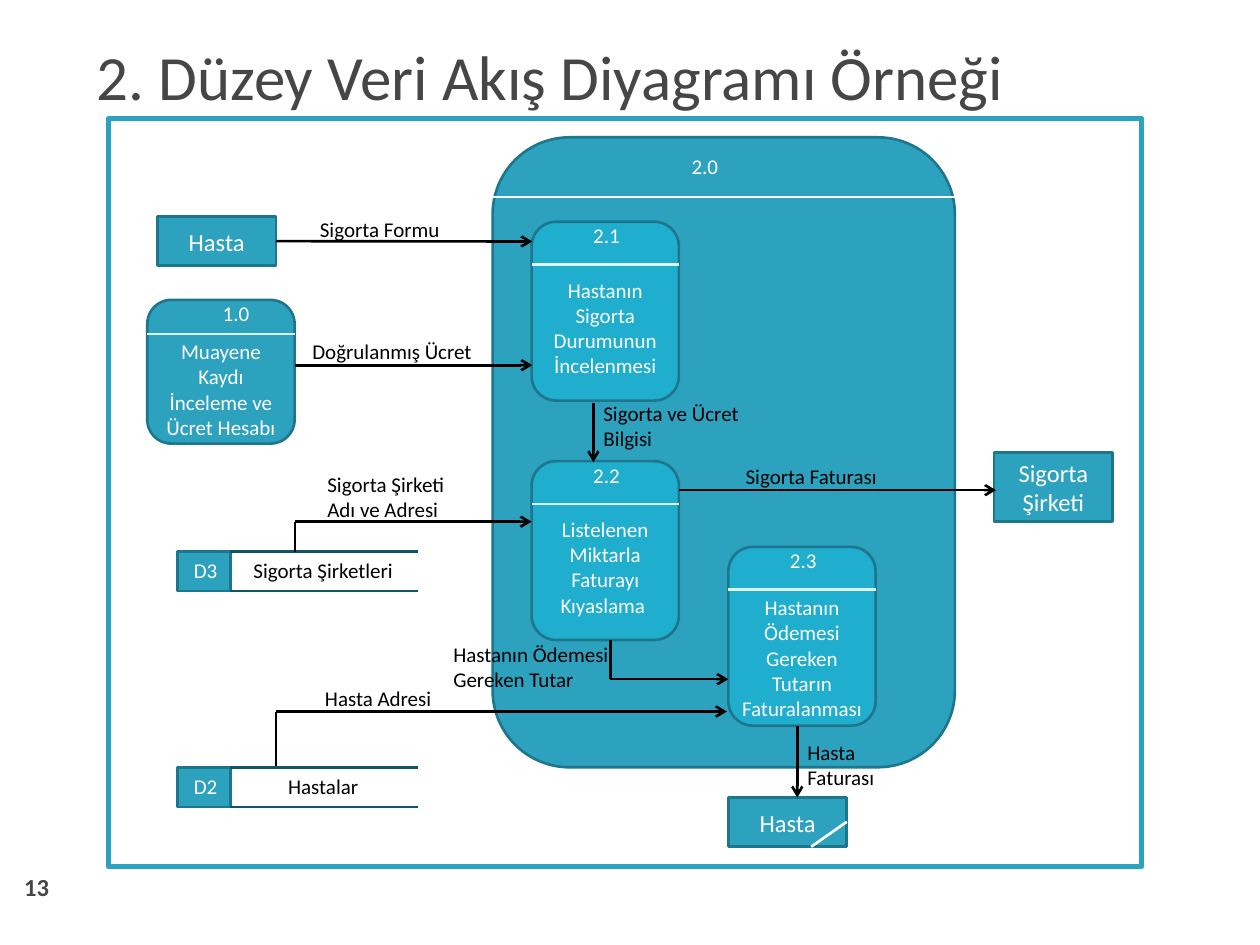
import pptx
import pptx.util
import pptx.dml.color
import pptx.enum.shapes
import pptx.enum.text
import pptx.oxml.ns
from lxml import etree

Pt = pptx.util.Pt
SHAPES = pptx.enum.shapes.MSO_SHAPE
ALIGN = pptx.enum.text.PP_ALIGN
ANCHOR = pptx.enum.text.MSO_ANCHOR

COLORS = {
    "teal": "2DA2BF",
    "bright": "1FAECD",
    "outline": "1E768C",
    "rail": "105766",
    "divider": "DEF5FA",
    "white": "FFFFFF",
    "black": "000000",
    "gray": "464646",
}
FONT = "Calibri"
BOX_WIDTH = 67.7
PROCESS_WIDTH = 84.2


def rgb(name):
    return pptx.dml.color.RGBColor.from_string(COLORS[name])


def write(frame, lines, size, color, align=ALIGN.LEFT, spacing=None, bold=False):
    for index, line in enumerate(lines):
        paragraph = frame.paragraphs[0] if index == 0 else frame.add_paragraph()
        paragraph.alignment = align
        if spacing:
            paragraph.line_spacing = spacing
        run = paragraph.add_run()
        run.text = line
        run.font.name = FONT
        run.font.size = Pt(size)
        run.font.bold = bold
        run.font.color.rgb = rgb(color)


def add_text(slide, left, top, width, height, lines, size=12, color="black",
             wrap=False, anchor=ANCHOR.TOP, **style):
    text_box = slide.shapes.add_textbox(Pt(left), Pt(top), Pt(width), Pt(height))
    frame = text_box.text_frame
    frame.word_wrap = wrap
    frame.vertical_anchor = anchor
    write(frame, lines, size, color, **style)


def add_block(slide, kind, left, top, width, height, fill="teal",
              line="outline", line_width=1.5):
    shape = slide.shapes.add_shape(kind, Pt(left), Pt(top), Pt(width), Pt(height))
    shape.shadow.inherit = False
    if fill:
        shape.fill.solid()
        shape.fill.fore_color.rgb = rgb(fill)
    else:
        shape.fill.background()
    shape.line.color.rgb = rgb(line)
    shape.line.width = Pt(line_width)
    return shape


def add_line(slide, x1, y1, x2, y2, color="black", arrow=False):
    connector = slide.shapes.add_connector(
        pptx.enum.shapes.MSO_CONNECTOR.STRAIGHT, Pt(x1), Pt(y1), Pt(x2), Pt(y2))
    connector.line.color.rgb = rgb(color)
    connector.line.width = Pt(1.5)
    if arrow:
        line = connector.line._get_or_add_ln()
        etree.SubElement(line, pptx.oxml.ns.qn("a:tailEnd"), type="arrow")
    etree.SubElement(connector._element.spPr, pptx.oxml.ns.qn("a:effectLst"))


def add_entity(slide, left, top, height, lines):
    shape = add_block(slide, SHAPES.RECTANGLE, left, top, BOX_WIDTH, height)
    shape.text_frame.word_wrap = True
    shape.text_frame.vertical_anchor = ANCHOR.MIDDLE
    write(shape.text_frame, lines, 14, "white", ALIGN.CENTER)


def add_process(slide, left, top, number, label, height=102.2, fill="bright",
                divider=24.5, number_left=28.1, label_top=28.1):
    add_block(slide, SHAPES.FLOWCHART_ALTERNATE_PROCESS, left, top,
              PROCESS_WIDTH, height, fill)
    add_line(slide, left, top + divider, left + PROCESS_WIDTH, top + divider, "divider")
    add_text(slide, left + number_left, top - 2.9, 29.5, 21.6, [number], color="white")
    add_text(slide, left, top + label_top, PROCESS_WIDTH, 64.8, [label],
             color="white", wrap=True, align=ALIGN.CENTER)


def add_data_store(slide, top, code, label):
    left, width, height = 101.5, 30.2, 22.6
    add_block(slide, SHAPES.FLOWCHART_PROCESS, left, top, width, height)
    for rail_top in (top, top + height):
        add_line(slide, left + width, rail_top, 239, rail_top, "rail")
    add_text(slide, 103.7, top, 28.1, 21.6, [code], color="white")
    add_text(slide, 125.3, top, 118.8, 21.6, [label], wrap=True, align=ALIGN.CENTER)


def add_flow(slide, *points):
    """Draw a route through the points, with an arrowhead at its end."""
    for index, (start, end) in enumerate(zip(points, points[1:])):
        add_line(slide, *start, *end, arrow=index == len(points) - 2)


def main():
    presentation = pptx.Presentation()
    presentation.slide_width = Pt(720)
    presentation.slide_height = Pt(540)
    slide = presentation.slides.add_slide(presentation.slide_layouts[6])

    # System boundary, frame and headings
    add_block(slide, SHAPES.ROUNDED_RECTANGLE, 281.5, 78.5, 264.2, 360)
    add_block(slide, SHAPES.RECTANGLE, 62, 67.7, 590.4, 427.7, None, "teal", 3)
    add_line(slide, 281.5, 112.5, 545.7, 112.5, "white")
    add_text(slide, 388.1, 84.2, 29.5, 21.6, ["2.0"], color="white")
    add_text(slide, 48.2, 18, 642.2, 77.8, ["2. Düzey Veri Akış Diyagramı Örneği"],
             36, "gray", wrap=True)
    add_text(slide, 0, 491.8, 41.8, 30.2, ["13"], 14, "gray", wrap=True,
             anchor=ANCHOR.MIDDLE, align=ALIGN.CENTER, bold=True)

    # External entities
    add_entity(slide, 90, 123.8, 28.1, ["Hasta"])
    add_entity(slide, 568.1, 258.5, 39.6, ["Sigorta", "Şirketi"])
    add_entity(slide, 416.2, 455.8, 28.1, ["Hasta"])
    add_line(slide, 483.9, 469.6, 463.5, 483.9, "white")

    # Processes
    add_process(slide, 84.2, 171.4, "1.0", "Muayene Kaydı İnceleme ve Ücret Hesabı",
                height=82.1, fill="teal", divider=19.4, number_left=36, label_top=18.7)
    add_process(slide, 303.8, 126.7, "2.1", "Hastanın Sigorta Durumunun İncelenmesi")
    add_process(slide, 303.8, 263.5, "2.2", "Listelenen Miktarla Faturayı Kıyaslama ")
    add_process(slide, 416.2, 312.5, "2.3",
                "Hastanın Ödemesi Gereken Tutarın Faturalanması", label_top=23.8)

    # Data stores
    add_data_store(slide, 315.2, "D3", "Sigorta Şirketleri")
    add_data_store(slide, 438.6, "D2", "Hastalar")

    # Data flows
    add_flow(slide, (157.7, 137.8), (304.2, 138))
    add_flow(slide, (168.4, 208.7), (304.2, 208.7))
    add_flow(slide, (339.1, 230.4), (339.1, 264.2))
    add_flow(slide, (388, 280.1), (569.2, 280.1))
    add_flow(slide, (168.5, 315.2), (168.5, 298.1), (303.8, 298.1))
    add_flow(slide, (348.8, 365.7), (348.8, 388.1), (416.2, 388.1))
    add_flow(slide, (157.7, 437.8), (157.7, 406.6), (415.4, 406.6))
    add_flow(slide, (455.6, 414.7), (455.6, 455.8))

    # Flow labels: left, top, width, height, lines, line spacing
    flow_labels = [
        (175.7, 120.2, 82.8, 21.6, ["Sigorta Formu"], None),
        (171.4, 182.9, 105.8, 28.8, ["Doğrulanmış Ücret"], 1.5),
        (337.7, 225.4, 92.2, 36, ["Sigorta ve Ücret", "Bilgisi"], None),
        (419, 254.2, 90, 28.8, ["Sigorta Faturası"], 1.5),
        (180, 265.7, 84.2, 36, ["Sigorta Şirketi", "Adı ve Adresi"], None),
        (252, 362.9, 105.8, 36, ["Hastanın Ödemesi", "Gereken Tutar"], None),
        (178.6, 388.1, 75.6, 21.6, ["Hasta Adresi"], None),
        (454.3, 419, 53.3, 36, ["Hasta", "Faturası"], None),
    ]
    for left, top, width, height, lines, spacing in flow_labels:
        add_text(slide, left, top, width, height, lines, spacing=spacing)

    presentation.save("out.pptx")


if __name__ == "__main__":
    main()
